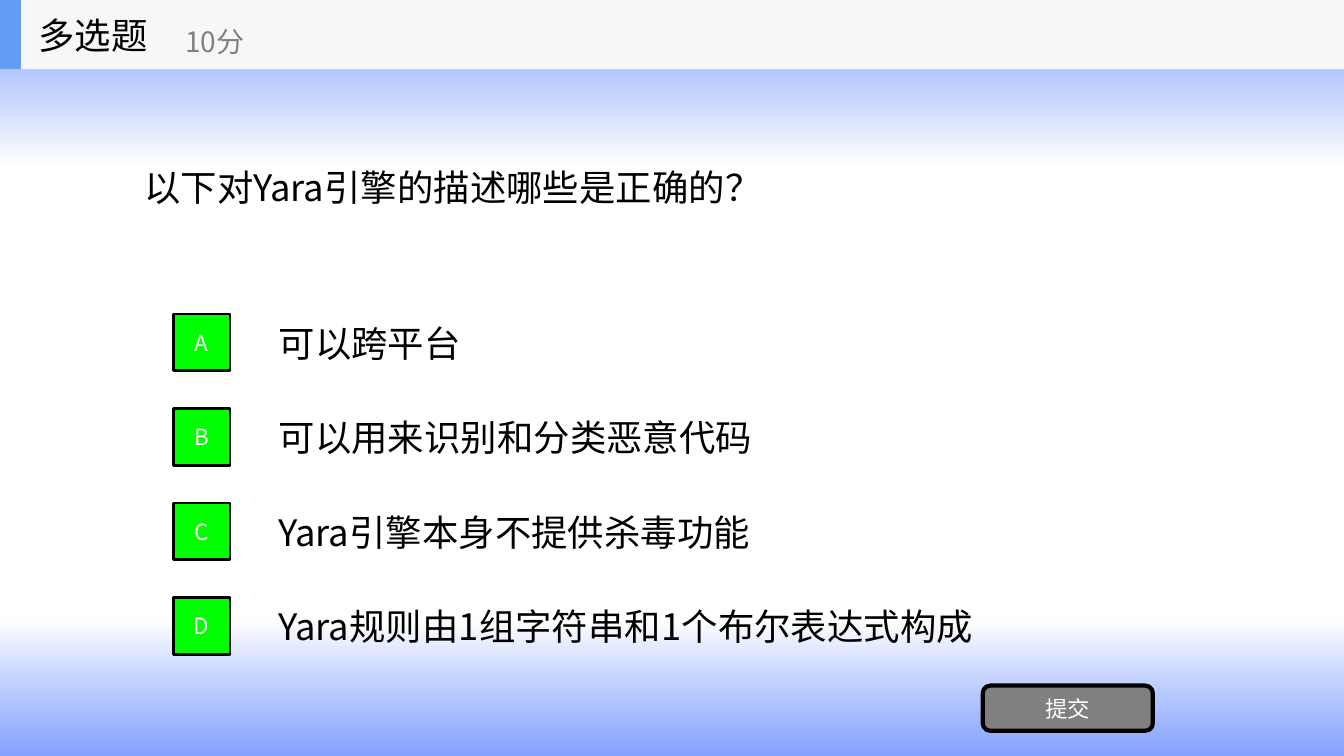
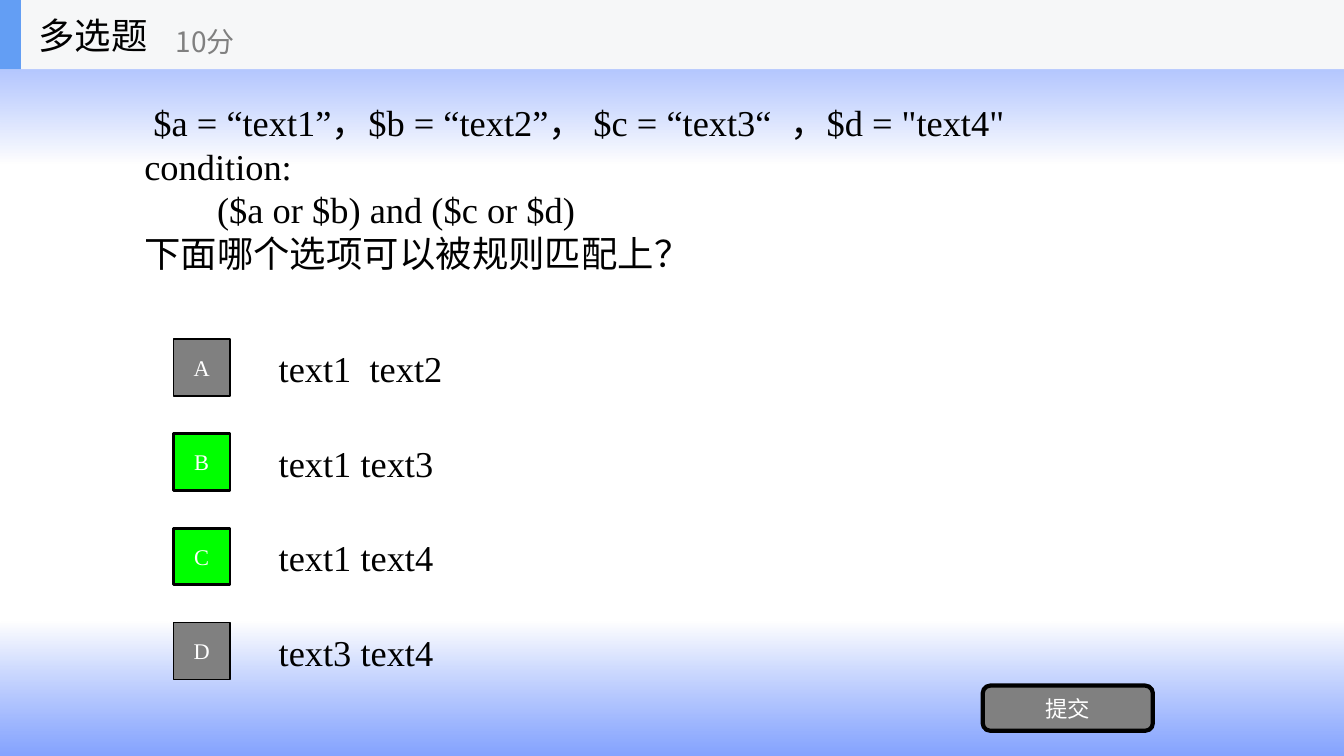
from dataclasses import dataclass
from typing import Optional, Union

from lxml.etree import SubElement
from pptx import Presentation
from pptx.dml.color import RGBColor
from pptx.enum.shapes import MSO_SHAPE
from pptx.enum.text import MSO_ANCHOR, PP_ALIGN
from pptx.oxml.ns import qn
from pptx.presentation import Presentation as Deck
from pptx.shapes.autoshape import Shape
from pptx.shapes.shapetree import GroupShapes, SlideShapes
from pptx.slide import Slide
from pptx.util import Emu, Pt

Shapes = Union[SlideShapes, GroupShapes]


def px(length: int) -> Emu:
    return Emu(length * 9525)


@dataclass(frozen=True)
class Theme:
    black: str = "000000"
    white: str = "FFFFFF"
    grey: str = "808080"
    correct: str = "00FF00"
    band: str = "3366FF"
    header: str = "F6F7F8"
    stripe: str = "639EF4"
    cjk_font: str = "Noto Sans CJK SC"
    latin_font: str = "Times New Roman"
    body_size: int = 26
    score_size: int = 20
    label_size: int = 16


@dataclass(frozen=True)
class Area:
    left: int
    top: int
    width: int
    height: int

    def emu(self) -> tuple[Emu, Emu, Emu, Emu]:
        return px(self.left), px(self.top), px(self.width), px(self.height)


@dataclass(frozen=True)
class TextStyle:
    font: str
    size: int
    color: str
    align: PP_ALIGN = PP_ALIGN.LEFT
    wrap: bool = True


@dataclass(frozen=True)
class Stop:
    color: str
    opacity: int


@dataclass(frozen=True)
class Option:
    text: str
    correct: bool = True


@dataclass(frozen=True)
class Question:
    lines: tuple[str, ...]
    options: tuple[Option, ...]
    font: str
    options_top: int
    score_left: int


THEME = Theme()
WIDTH, HEIGHT = 1280, 720
HEADER_HEIGHT = 66
OPTION_PITCH, OPTION_HEIGHT = 90, 67
BADGE_SIZE = 54

QUESTIONS = (
    Question(
        lines=("以下对Yara引擎的描述哪些是正确的？",),
        options=(
            Option("可以跨平台"),
            Option("可以用来识别和分类恶意代码"),
            Option("Yara引擎本身不提供杀毒功能"),
            Option("Yara规则由1组字符串和1个布尔表达式构成"),
        ),
        font=THEME.cjk_font,
        options_top=293,
        score_left=167,
    ),
    Question(
        lines=(
            ' $a = “text1”，$b = “text2”， $c = “text3“  ，$d = "text4"',
            "condition:",
            "        ($a or $b) and ($c or $d)",
            "下面哪个选项可以被规则匹配上？",
        ),
        options=(
            Option("text1  text2", False),
            Option("text1 text3"),
            Option("text1 text4"),
            Option("text3 text4", False),
        ),
        font=THEME.latin_font,
        options_top=317,
        score_left=158,
    ),
)


def write(box: Shape, lines: tuple[str, ...], style: TextStyle) -> None:
    frame = box.text_frame
    frame.word_wrap = style.wrap
    frame.vertical_anchor = MSO_ANCHOR.MIDDLE
    frame.text = "\n".join(lines)
    for para in frame.paragraphs:
        para.alignment = style.align
        para.font.name = style.font
        para.font.size = Pt(style.size)
        para.font.color.rgb = RGBColor.from_string(style.color)
    for properties in box.element.iter(qn("a:defRPr")):
        SubElement(properties, qn("a:ea")).set("typeface", THEME.cjk_font)


def add_text(shapes: Shapes, area: Area, lines: tuple[str, ...], style: TextStyle) -> None:
    write(shapes.add_textbox(*area.emu()), lines, style)


def add_block(
    shapes: Shapes,
    area: Area,
    fill: Optional[str] = None,
    line_width: int = 0,
    kind: MSO_SHAPE = MSO_SHAPE.RECTANGLE,
) -> Shape:
    block = shapes.add_shape(kind, *area.emu())
    block.shadow.inherit = False
    if fill:
        block.fill.solid()
        block.fill.fore_color.rgb = RGBColor.from_string(fill)
    if line_width:
        block.line.color.rgb = RGBColor.from_string(THEME.black)
        block.line.width = Pt(line_width)
    else:
        block.line.fill.background()
    return block


def add_master_band(deck: Deck, page: Slide, area: Area, stops: tuple[Stop, Stop]) -> None:
    band = add_block(page.shapes, area)
    band.fill.gradient()
    band.fill.gradient_angle = 270
    for target, stop in zip(band.fill.gradient_stops, stops):
        target.color.rgb = RGBColor.from_string(stop.color)
    for color, stop in zip(band.element.iter(qn("a:srgbClr")), stops):
        SubElement(color, qn("a:alpha")).set("val", str(stop.opacity * 1000))
    master = deck.slide_master
    new_id = max(shape.shape_id for shape in master.shapes) + 1
    next(band.element.iter(qn("p:cNvPr"))).set("id", str(new_id))
    master.shapes.element.append(band.element)


def add_header(page: Slide, question: Question) -> None:
    shapes = page.shapes.add_group_shape().shapes
    add_block(shapes, Area(0, 0, WIDTH, HEADER_HEIGHT), THEME.header)
    add_block(shapes, Area(0, 0, 20, HEADER_HEIGHT), THEME.stripe)
    title = TextStyle(question.font, THEME.body_size, THEME.black, wrap=False)
    score = TextStyle(THEME.cjk_font, THEME.score_size, THEME.grey, wrap=False)
    add_text(shapes, Area(27, 0, 200, HEADER_HEIGHT), ("多选题",), title)
    add_text(shapes, Area(question.score_left, 12, 240, 54), ("10分",), score)


def add_question(page: Slide, question: Question) -> None:
    body = TextStyle(question.font, THEME.body_size, THEME.black)
    label = TextStyle(question.font, THEME.label_size, THEME.white, PP_ALIGN.CENTER)
    add_text(page.shapes, Area(128, HEADER_HEIGHT, 1024, 225), question.lines, body)
    for index, (letter, option) in enumerate(zip("ABCD", question.options)):
        top = question.options_top + index * OPTION_PITCH
        add_text(page.shapes, Area(256, top, 896, OPTION_HEIGHT), (option.text,), body)
        badge = add_block(
            page.shapes,
            Area(165, top + (OPTION_HEIGHT - BADGE_SIZE) // 2, BADGE_SIZE, BADGE_SIZE),
            THEME.correct if option.correct else THEME.grey,
            2 if option.correct else 1,
        )
        write(badge, (letter,), label)
    button = add_block(
        page.shapes, Area(936, 653, 162, 43), THEME.grey, 3, MSO_SHAPE.ROUNDED_RECTANGLE
    )
    write(button, ("提交",), label)
    add_header(page, question)


def main() -> None:
    deck = Presentation()
    deck.slide_width, deck.slide_height = px(WIDTH), px(HEIGHT)
    pages = [deck.slides.add_slide(deck.slide_layouts[6]) for _ in QUESTIONS]
    clear, tinted = Stop(THEME.white, 70), Stop(THEME.band, 60)
    add_master_band(deck, pages[0], Area(0, 592, WIDTH, 128), (clear, tinted))
    add_master_band(deck, pages[0], Area(0, 0, WIDTH, 156), (tinted, clear))
    for page, question in zip(pages, QUESTIONS):
        add_question(page, question)
    deck.save("out.pptx")


if __name__ == "__main__":
    main()
